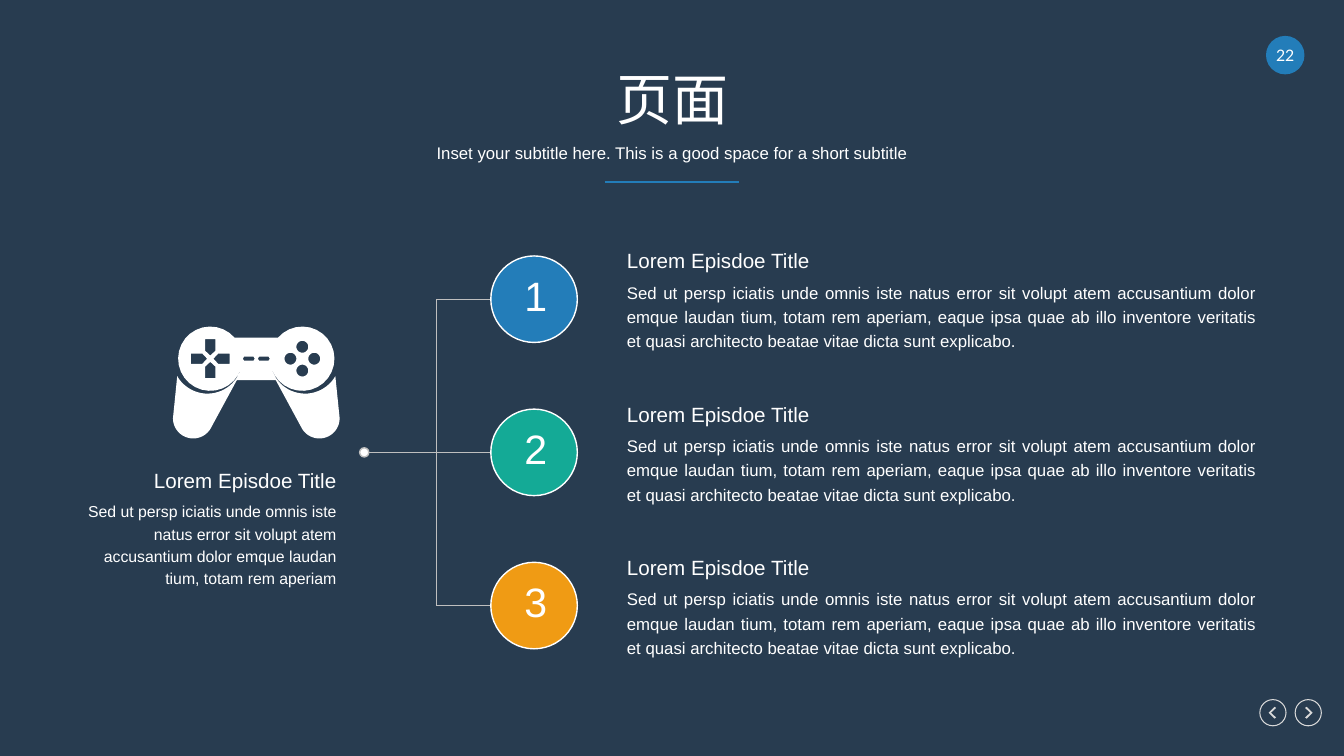
from dataclasses import dataclass
from math import cos, radians, sin

from lxml.etree import SubElement
from pptx import Presentation
from pptx.dml.color import RGBColor
from pptx.enum.shapes import MSO_CONNECTOR as Line, MSO_SHAPE as Shape
from pptx.enum.text import MSO_ANCHOR as Anchor, MSO_AUTO_SIZE as AutoSize, PP_ALIGN as Align
from pptx.oxml.ns import qn
from pptx.util import Cm, Pt


@dataclass(frozen=True)
class Theme:
    back: str = "283C50"
    white: str = "FFFFFF"
    blue: str = "237DB9"
    green: str = "14AA96"
    orange: str = "F09B14"
    wire: str = "BFBFBF"
    arrow: str = "D9D9D9"
    font: str = "Arial"
    number_font: str = "Lato"
    title: float = 40
    number: float = 29.3
    heading: float = 14.7
    body: float = 12
    small: float = 11.3


THEME = Theme()
ITEM_TOP, ITEM_STEP, ITEM_X = 7.54, 3.86, 13.46
CIRCLE_SIZE, SPINE_X, DOT_X = 2.18, 11, 9.18
PAD_AXIS, PAD_Y, PAD_REACH = 6.46, 9.04, 1.16
HEADING = "Lorem Episdoe Title"
SUMMARY = ("Sed ut persp iciatis unde omnis iste natus error sit volupt atem "
           "accusantium dolor emque laudan tium, totam rem aperiam")
DETAIL = (SUMMARY + ", eaque ipsa quae ab illo inventore veritatis et quasi "
          "architecto beatae vitae dicta sunt explicabo.")


def apply(target, values):
    for name, value in values.items():
        setattr(target, name, value)


def color(code):
    return RGBColor.from_string(code)


def paint(shape, fill=None, line=None, width=1):
    shape.shadow.inherit = False
    if fill:
        shape.fill.solid()
        shape.fill.fore_color.rgb = color(fill)
    else:
        shape.fill.background()
    if line:
        shape.line.color.rgb = color(line)
        shape.line.width = Pt(width)
    else:
        shape.line.fill.background()


def write(shape, lines, align, anchor=Anchor.TOP, font=THEME.font, left=0, bottom=0, **spacing):
    frame = shape.text_frame
    apply(frame, dict(word_wrap=True, auto_size=AutoSize.NONE, vertical_anchor=anchor,
                      margin_left=Cm(left), margin_right=0, margin_top=0,
                      margin_bottom=Cm(bottom)))
    for index, (text, size) in enumerate(lines):
        para = frame.add_paragraph() if index else frame.paragraphs[0]
        apply(para, dict(alignment=align, **spacing))
        span = para.add_run()
        span.text = text
        apply(span.font, dict(name=font, size=Pt(size)))
        span.font.color.rgb = color(THEME.white)


def add_text(page, box, lines, align, **options):
    shape = page.shapes.add_textbox(*map(Cm, box))
    write(shape, lines, align, **options)


def add_circle(page, x, y, size, **look):
    circle = page.shapes.add_shape(Shape.OVAL, Cm(x - size / 2), Cm(y - size / 2),
                                   Cm(size), Cm(size))
    paint(circle, **look)
    return circle


def add_line(page, start, end, code=THEME.wire, width=1):
    line = page.shapes.add_connector(Line.STRAIGHT, *map(Cm, start + end))
    line.line.color.rgb = color(code)
    line.line.width = Pt(width)
    SubElement(line._element.spPr, qn("a:effectLst"))


def add_outline(page, contours, x, y, fill):
    builder = None
    for contour in contours:
        points = [(Cm(x + dx), Cm(y + dy)) for dx, dy in contour]
        if builder is None:
            builder = page.shapes.build_freeform(*points[0])
        else:
            builder.move_to(*points[0])
        builder.add_line_segments(points[1:], close=True)
    paint(builder.convert_to_shape(), fill)


def arc(x, y, radius, start, end, steps=24):
    angles = [radians(start + (end - start) * step / steps) for step in range(steps + 1)]
    return [(x + radius * cos(angle), y + radius * sin(angle)) for angle in angles]


def turn(points, quarters):
    for _ in range(quarters):
        points = [(-y, x) for x, y in points]
    return points


def shift(points, x):
    return [(x + dx, dy) for dx, dy in points]


def add_gamepad(page):
    half = (arc(-PAD_REACH, 0, 0.81, -41, -342)
            + arc(-1.23, 0, 0.88, 17, 150)
            + arc(-1.59, 1.5, 0.51, 180, 25)
            + [(-0.49, 0.54)])
    body = half + [(-x, y) for x, y in reversed(half)]
    arm = [(-0.49, 0.13), (-0.2, 0.13), (-0.08, 0), (-0.2, -0.13), (-0.49, -0.13)]
    dash = [(-0.15, 0), (-0.12, -0.05), (0.12, -0.05), (0.15, 0), (0.12, 0.05), (-0.12, 0.05)]
    arms = [shift(turn(arm, quarter), -PAD_REACH) for quarter in range(4)]
    buttons = [shift(turn(arc(0.3, 0, 0.15, 0, 345), quarter), PAD_REACH)
               for quarter in range(4)]
    dashes = [shift(dash, x) for x in (-0.19, 0.19)]
    add_outline(page, [body, *arms, *buttons, *dashes], PAD_AXIS, PAD_Y, THEME.white)


def add_header(page):
    title = page.shapes.title
    apply(title, dict(left=Cm(2.21), top=Cm(1.63), width=Cm(29.46), height=Cm(1.7)))
    write(title, [("页面", THEME.title)], Align.CENTER, anchor=Anchor.MIDDLE)
    subtitle = "Inset your subtitle here. This is a good space for a short subtitle"
    add_text(page, (2.21, 3.43, 29.46, 0.84), [(subtitle, THEME.body)], Align.CENTER,
             anchor=Anchor.MIDDLE)
    add_line(page, (15.24, 4.58), (18.62, 4.58), THEME.blue, 1.5)


def add_navigation(page):
    badge = add_circle(page, 32.39, 1.39, 0.97, fill=THEME.blue)
    write(badge, [("22", THEME.small)], Align.CENTER, anchor=Anchor.MIDDLE,
          font=THEME.number_font)
    chevron = [(0.04, 0.15), (0.08, 0.12), (-0.05, 0), (0.08, -0.12), (0.04, -0.15), (-0.11, 0)]
    for x, quarters in ((32.08, 0), (32.97, 2)):
        add_circle(page, x, 17.96, 0.66, line=THEME.arrow, width=0.75)
        add_outline(page, [turn(chevron, quarters)], x, 17.96, THEME.arrow)


def add_item(page, index, fill):
    y = ITEM_TOP + index * ITEM_STEP
    add_line(page, (SPINE_X, y), (ITEM_X - CIRCLE_SIZE / 2, y))
    circle = add_circle(page, ITEM_X, y, CIRCLE_SIZE, fill=fill, line=THEME.white)
    write(circle, [(str(index + 1), THEME.number)], Align.CENTER, anchor=Anchor.MIDDLE,
          left=0.08, bottom=0.2)
    add_text(page, (15.8, y - 1.27, 15.87, 2.57),
             [(HEADING, THEME.heading), (DETAIL, THEME.body)], Align.JUSTIFY,
             line_spacing=Pt(17.3), space_after=Pt(4))


def main():
    deck = Presentation()
    apply(deck, dict(slide_width=Cm(33.87), slide_height=Cm(19.05)))
    page = deck.slides.add_slide(deck.slide_layouts[5])
    page.background.fill.solid()
    page.background.fill.fore_color.rgb = color(THEME.back)
    add_header(page)
    add_navigation(page)
    add_gamepad(page)
    add_text(page, (2.21, 11.86, 6.27, 3), [(HEADING, THEME.heading), (SUMMARY, THEME.small)],
             Align.RIGHT, line_spacing=Pt(16), space_after=Pt(4))
    middle = ITEM_TOP + ITEM_STEP
    add_line(page, (SPINE_X, ITEM_TOP), (SPINE_X, middle + ITEM_STEP))
    add_line(page, (DOT_X, middle), (SPINE_X, middle))
    for index, fill in enumerate((THEME.blue, THEME.green, THEME.orange)):
        add_item(page, index, fill)
    add_circle(page, DOT_X, middle, 0.23, fill=THEME.white, line=THEME.wire)
    deck.save("out.pptx")


main()
